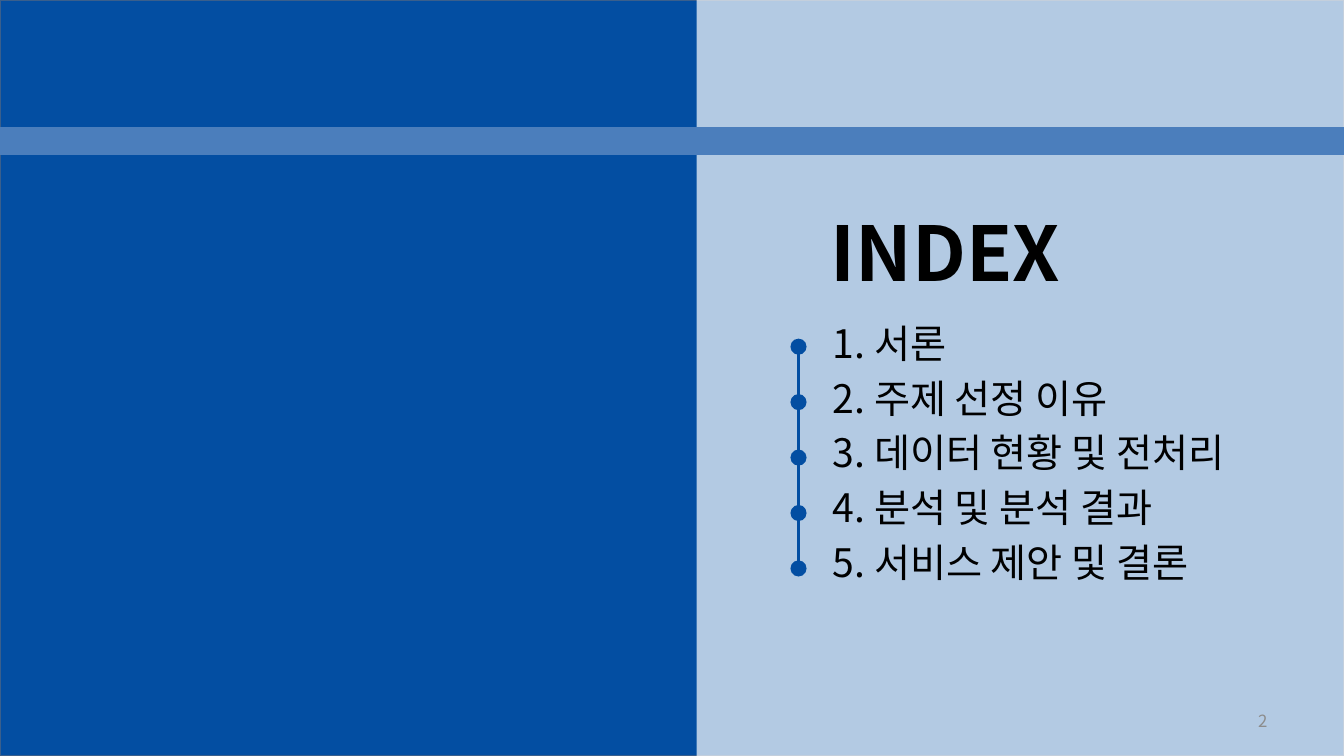
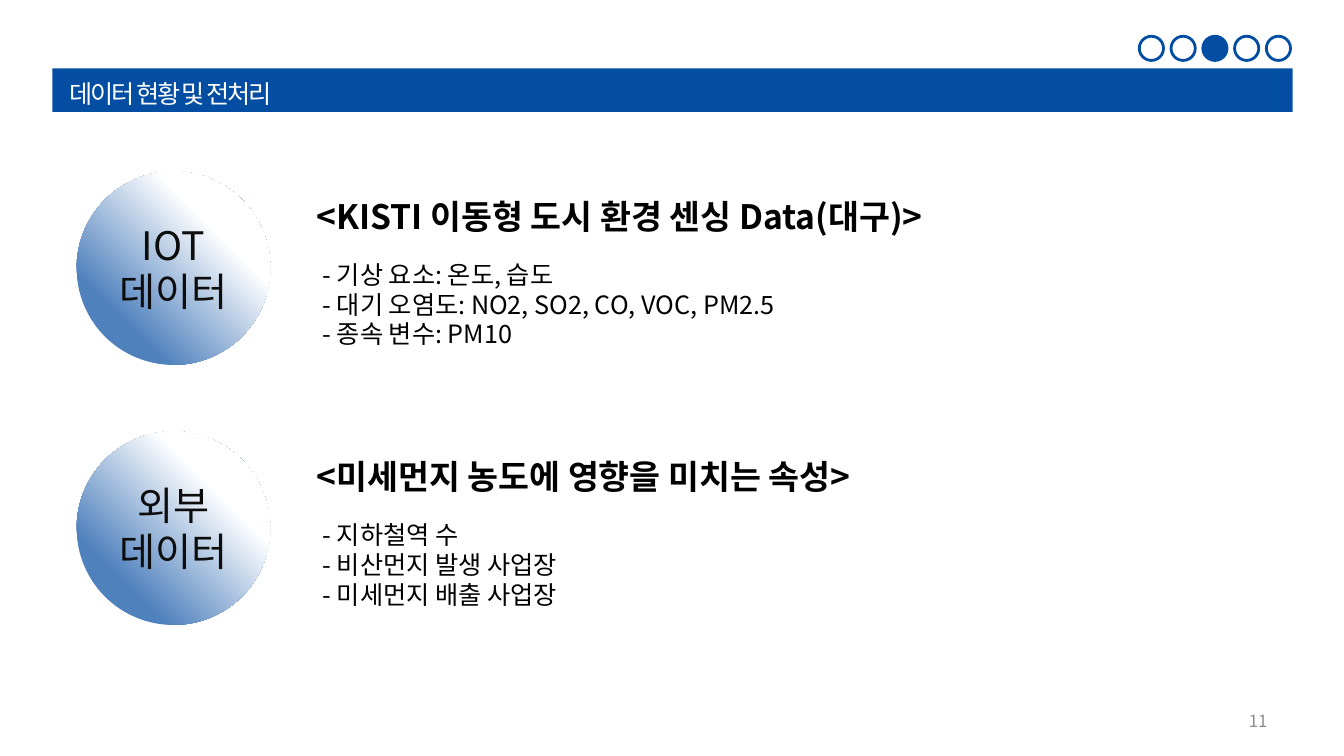
"""Build an index slide and a data overview slide."""
from lxml import etree
from pptx import Presentation
from pptx.dml.color import RGBColor
from pptx.enum.shapes import MSO_CONNECTOR, MSO_SHAPE
from pptx.enum.text import MSO_ANCHOR, PP_ALIGN
from pptx.oxml import parse_xml
from pptx.oxml.ns import nsdecls, qn
from pptx.util import Inches, Pt

RECT, OVAL = MSO_SHAPE.RECTANGLE, MSO_SHAPE.OVAL
STRAIGHT = MSO_CONNECTOR.STRAIGHT
TOP, MIDDLE = MSO_ANCHOR.TOP, MSO_ANCHOR.MIDDLE
LEFT, CENTER, RIGHT = PP_ALIGN.LEFT, PP_ALIGN.CENTER, PP_ALIGN.RIGHT

W, H = 13.33, 7.5
FONT = "Noto Sans CJK KR"
LINE_HEIGHT = 1.18
SIZES = {"title": 54, "large": 28, "heading": 24, "body": 18, "number": 12}
COLORS = {
    "navy": "034EA2", "edge": "3A5F8C", "band": "4B7EBC", "sky": "4F81BD",
    "white": "FFFFFF", "black": "000000", "ink": "0D0D0D", "gray": "8C8C8C",
}
GRADIENT_STOPS = [(0, "white"), (29, "white"), (77, "sky")]

SECTIONS = ["서론", "주제 선정 이유", "데이터 현황 및 전처리", "분석 및 분석 결과", "서비스 제안 및 결론"]
CURRENT = 2
SOURCES = [
    {"label": ["IOT", "데이터"],
     "heading": "<KISTI 이동형 도시 환경 센싱 Data(대구)>",
     "items": ["- 기상 요소: 온도, 습도", "- 대기 오염도: NO2, SO2, CO, VOC, PM2.5", "- 종속 변수: PM10"]},
    {"label": ["외부", "데이터"],
     "heading": "<미세먼지 농도에 영향을 미치는 속성>",
     "items": ["- 지하철역 수", "- 비산먼지 발생 사업장", "- 미세먼지 배출 사업장"]},
]


def rgb(name):
    return RGBColor.from_string(COLORS[name])


def write(sp, lines, role, color="black", bold=False, align=LEFT, anchor=TOP, gap=0, tracking=0):
    size = SIZES[role]
    tf = sp.text_frame
    tf.word_wrap = True
    tf.vertical_anchor = anchor
    tf.text = "\n".join(lines)
    for i, p in enumerate(tf.paragraphs):
        p.alignment = align
        p.line_spacing = Pt(round(size * LINE_HEIGHT, 1))
        p.space_before = Pt(gap if i else 0)
        for r in p.runs:
            r.font.name, r.font.size, r.font.bold = FONT, Pt(size), bold
            r.font.color.rgb = rgb(color)
            props = r.font._element
            etree.SubElement(props, qn("a:ea")).set("typeface", FONT)
            if tracking:
                props.set("spc", str(round(tracking * 100)))


def add_text(s, box, lines, role, **style):
    write(s.shapes.add_textbox(*map(Inches, box)), lines, role, **style)


def add_shape(s, kind, box, fill=None, line=None):
    sp = s.shapes.add_shape(kind, *map(Inches, box))
    sp.shadow.inherit = False
    if fill:
        sp.fill.solid()
        sp.fill.fore_color.rgb = rgb(fill)
    else:
        sp.fill.background()
    if line:
        sp.line.color.rgb = rgb(line)
        sp.line.width = Pt(2)
    else:
        sp.line.fill.background()
    return sp


def add_line(s, start, end, color, width):
    connector = s.shapes.add_connector(STRAIGHT, *map(Inches, start + end))
    connector.line.color.rgb = rgb(color)
    connector.line.width = Pt(width)
    etree.SubElement(connector._element.spPr, qn("a:effectLst"))


def add_dots(s, centers, size, fills, line=None):
    for (x, y), fill in zip(centers, fills):
        add_shape(s, OVAL, (x - size / 2, y - size / 2, size, size), fill, line)


def set_alpha(sp, percent):
    color = sp._element.spPr.find(".//" + qn("a:srgbClr"))
    etree.SubElement(color, qn("a:alpha")).set("val", str(percent * 1000))


def set_corner_gradient(sp):
    stops = "".join(
        f'<a:gs pos="{pos * 1000}"><a:srgbClr val="{COLORS[name]}"/></a:gs>'
        for pos, name in GRADIENT_STOPS)
    gradient = parse_xml(
        f'<a:gradFill {nsdecls("a")} rotWithShape="1"><a:gsLst>{stops}</a:gsLst>'
        '<a:path path="circle"><a:fillToRect l="100000" b="100000"/></a:path></a:gradFill>')
    spPr = sp._element.spPr
    spPr.replace(spPr.find(qn("a:noFill")), gradient)


def add_page_number(s, number):
    add_text(s, (9.56, 6.95, 3.11, 0.4), [str(number)], "number",
             color="gray", align=RIGHT, anchor=MIDDLE)


def draw_index(s):
    panel_left = 6.91
    add_shape(s, RECT, (0, 0, W, H), "navy", "edge")
    panel = add_shape(s, RECT, (panel_left, 0, W - panel_left, H), "white")
    set_alpha(panel, 70)

    add_text(s, (8.14, 1.88, 3.4, 1.25), ["INDEX"], "title", bold=True, anchor=MIDDLE)
    entries = [f"{i}. {name}" for i, name in enumerate(SECTIONS, 1)]
    add_text(s, (8.16, 3.13, 4.41, 3.57), entries, "large", gap=6)

    rail_x, rail_top, pitch = 7.92, 3.44, 0.55
    centers = [(rail_x, rail_top + i * pitch) for i in range(len(SECTIONS))]
    add_line(s, centers[0], centers[-1], "navy", 1.5)
    add_dots(s, centers, 0.16, ["navy"] * len(SECTIONS))
    add_line(s, (0, 1.4), (W, 1.4), "band", 20)


def draw_header(s, current):
    add_shape(s, RECT, (0.52, 0.68, 12.3, 0.43), "navy")
    add_text(s, (0.59, 0.73, 7.52, 0.4), [SECTIONS[current]], "body",
             color="white", tracking=-1.5)
    first_x, pitch = 11.42, 0.315
    centers = [(first_x + i * pitch, 0.48) for i in range(len(SECTIONS))]
    fills = ["navy" if i == current else None for i in range(len(SECTIONS))]
    add_dots(s, centers, 0.24, fills, "navy")


def draw_data(s):
    draw_header(s, CURRENT)
    first_top, row_pitch, disc_size = 1.7, 2.58, 1.92
    for i, source in enumerate(SOURCES):
        top = first_top + i * row_pitch
        disc = add_shape(s, OVAL, (0.76, top, disc_size, disc_size))
        set_corner_gradient(disc)
        write(disc, source["label"], "large", color="ink", align=CENTER, anchor=MIDDLE)
        add_text(s, (3.04, top + 0.2, 6.93, 0.5), [source["heading"]], "heading", bold=True)
        add_text(s, (3.1, top + 0.83, 6.67, 1.01), source["items"], "body")


PAGES = [(2, draw_index), (11, draw_data)]


def main():
    prs = Presentation()
    prs.slide_width, prs.slide_height = Inches(W), Inches(H)
    for number, draw in PAGES:
        s = prs.slides.add_slide(prs.slide_layouts[6])
        draw(s)
        add_page_number(s, number)
    prs.save("out.pptx")


if __name__ == "__main__":
    main()
